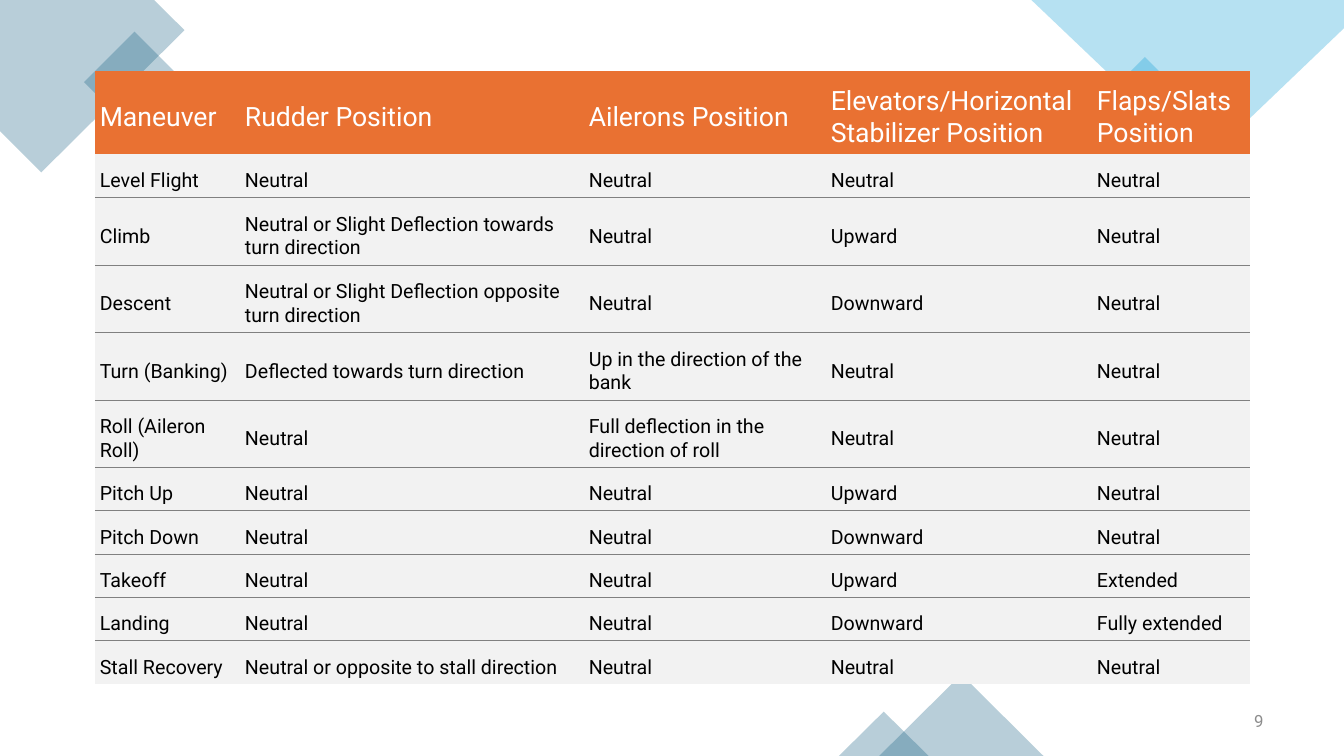
from lxml.etree import SubElement
from pptx import Presentation
from pptx.dml.color import RGBColor as RGB
from pptx.enum.shapes import MSO_SHAPE as SHAPE
from pptx.enum.text import MSO_ANCHOR as ANCHOR, PP_ALIGN as ALIGN
from pptx.oxml.ns import qn
from pptx.util import Pt

PX = 9144
THEME = {
    "font": "Roboto", "teal": "156082", "sky": "0F9ED5", "alpha": "30000",
    "rule": "808080", "rule_width": Pt(0.75),
    "header": {"size": 19, "color": "FFFFFF", "fill": "E97132"},
    "body": {"size": 14, "color": "000000", "fill": "F2F2F2"},
    "number": {"size": 12, "color": "8C8C8C"},
    "table_style": "{2D5ABB26-0587-4C30-8999-92F81FD0307C}",
}


def tint(s, color):
    s.shadow.inherit = False
    s.line.fill.background()
    s.fill.solid()
    s.fill.fore_color.rgb = RGB.from_string(THEME[color])
    clr = s._element.spPr.find(qn("a:solidFill")).find(qn("a:srgbClr"))
    SubElement(clr, qn("a:alpha"), val=THEME["alpha"])


def write(tf, text, style):
    p = tf.paragraphs[0]
    r = p.add_run()
    r.text = text
    for name, value in {"name": THEME["font"], "size": Pt(style["size"])}.items():
        setattr(r.font, name, value)
    r.font.color.rgb = RGB.from_string(style["color"])
    return p


prs = Presentation()
prs.slide_width, prs.slide_height = 1333 * PX, 750 * PX
slide = prs.slides.add_slide(prs.slide_layouts[6])
shapes = slide.shapes

corners = [
    ("teal", [(153, 0), (0, 0), (0, 130), (41, 171), (183, 30)]),
    ("sky", [(1333, 0), (1023, 0), (1193, 162), (1333, 28)]),
]
for color, points in corners:
    fb = shapes.build_freeform(*points[0], scale=PX)
    fb.add_line_segments(points[1:], close=True)
    tint(fb.convert_to_shape(), color)

accents = [
    (SHAPE.RECTANGLE, (98, 46, 71, 71), 315, "teal"),
    (SHAPE.RECTANGLE, (1098, 72, 75, 75), 315, "sky"),
    (SHAPE.ISOSCELES_TRIANGLE, (872, 669, 163, 81), 0, "teal"),
    (SHAPE.ISOSCELES_TRIANGLE, (832, 706, 89, 44), 0, "teal"),
]
for kind, box, angle, color in accents:
    s = shapes.add_shape(kind, *(n * PX for n in box))
    s.rotation = angle
    tint(s, color)

tf = shapes.add_textbox(963 * PX, 695 * PX, 300 * PX, 40 * PX).text_frame
tf.word_wrap = True
tf.vertical_anchor = ANCHOR.MIDDLE
p = write(tf, "9", THEME["number"])
p.alignment = ALIGN.RIGHT
p.space_after = Pt(6)

N = "Neutral"
rows = [
    ("Maneuver", "Rudder Position", "Ailerons Position",
     "Elevators/Horizontal Stabilizer Position", "Flaps/Slats Position"),
    ("Level Flight", N, N, N, N),
    ("Climb", "Neutral or Slight Deflection towards turn direction", N, "Upward", N),
    ("Descent", "Neutral or Slight Deflection opposite turn direction", N, "Downward", N),
    ("Turn (Banking)", "Deflected towards turn direction",
     "Up in the direction of the bank", N, N),
    ("Roll (Aileron Roll)", N, "Full deflection in the direction of roll", N, N),
    ("Pitch Up", N, N, "Upward", N),
    ("Pitch Down", N, N, "Downward", N),
    ("Takeoff", N, N, "Upward", "Extended"),
    ("Landing", N, N, "Downward", "Fully extended"),
    ("Stall Recovery", "Neutral or opposite to stall direction", N, N, N),
]
widths = [144, 341, 240, 264, 157]
heights = [83, 43] + [67] * 4 + [43] * 5
cell_format = {
    "margin_left": 5 * PX, "margin_top": 12 * PX,
    "margin_right": 5 * PX, "margin_bottom": 2 * PX,
    "vertical_anchor": ANCHOR.MIDDLE,
}

frame = shapes.add_table(len(rows), len(widths), 94 * PX, 70 * PX,
                         sum(widths) * PX, sum(heights) * PX)
table = frame.table
table.first_row = table.horz_banding = False
table._tbl.tblPr.find(qn("a:tableStyleId")).text = THEME["table_style"]
for column, width in zip(table.columns, widths):
    column.width = width * PX

last = len(rows) - 1
for i, row in enumerate(rows):
    table.rows[i].height = heights[i] * PX
    style = THEME["body" if i else "header"]
    sides = [("a:lnT", i > 1), ("a:lnB", 0 < i < last)]
    for j, text in enumerate(row):
        cell = table.cell(i, j)
        for name, value in cell_format.items():
            setattr(cell, name, value)
        write(cell.text_frame, text, style)
        for side, ruled in sides:
            if ruled:
                ln = SubElement(cell._tc.get_or_add_tcPr(), qn(side),
                                w=str(THEME["rule_width"]))
                SubElement(SubElement(ln, qn("a:solidFill")), qn("a:srgbClr"),
                           val=THEME["rule"])
        cell.fill.solid()
        cell.fill.fore_color.rgb = RGB.from_string(style["fill"])

prs.save("out.pptx")
